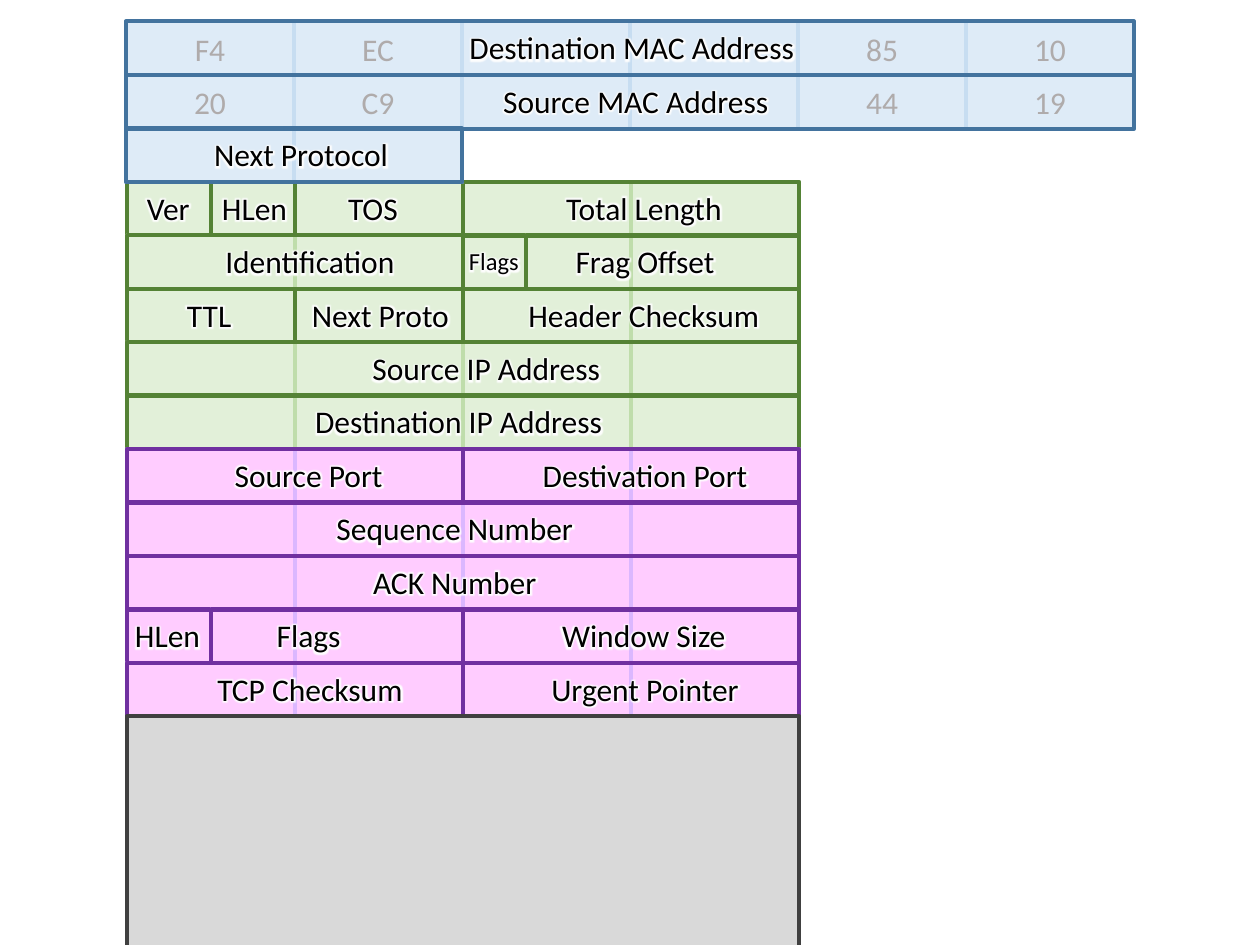
"""Draw the byte layout of Ethernet, IP and TCP headers on one slide."""
from dataclasses import dataclass
from math import floor

from lxml.etree import SubElement
from pptx import Presentation
from pptx.dml.color import RGBColor
from pptx.enum.shapes import MSO_SHAPE
from pptx.enum.text import MSO_ANCHOR, PP_ALIGN
from pptx.oxml.ns import qn
from pptx.util import Pt


@dataclass(frozen=True)
class Palette:
    fill: str
    edge: str
    divider: str


@dataclass(frozen=True)
class Theme:
    ethernet: Palette = Palette("DEEBF7", "43739E", "C7DDF1")
    internet: Palette = Palette("E2F0D9", "548235", "BFDDAB")
    transport: Palette = Palette("FFCCFF", "7030A0", "DBB7FF")
    payload: Palette = Palette("D9D9D9", "404040", "404040")
    ink: str = "000000"
    value: str = "AFABAB"
    halo: str = "FFFFFF"
    font: str = "Calibri"
    body: float = 18
    small: float = 14
    line: float = 2.25


@dataclass(frozen=True)
class Field:
    size: float
    name: str
    label_left: float
    label_width: float
    small: bool = False
    values: tuple = ()


TOP, PITCH, ROW_HEIGHT, BYTE = 12.24, 30.53, 30.8, 96
LABEL_HEIGHT, LABEL_DROP, HALO = 28.8, 0.5, 5

ETHERNET = [
    [Field(6, "Destination MAC Address", 259.9, 202.3,
           values=("F4", "EC", "", "", "85", "10"))],
    [Field(6, "Source MAC Address", 279.4, 167.8,
           values=("20", "C9", "", "", "44", "19"))],
    [Field(2, "Next Protocol", 90.7, 162.7)],
]
INTERNET = [
    [Field(0.5, "Ver", 71.3, 49.7), Field(0.5, "HLen", 111.6, 67.7),
     Field(1, "TOS", 179.3, 67.7), Field(2, "Total Length", 291.6, 152.6)],
    [Field(2, "Identification", 100.8, 152.6),
     Field(0.375, "Flags", 248.4, 67.7, small=True),
     Field(1.625, "Frag Offset", 292.3, 152.6)],
    [Field(1, "TTL", 85.7, 67.7), Field(1, "Next Proto", 169.9, 95),
     Field(2, "Header Checksum", 291.6, 152.6)],
    [Field(4, "Source IP Address", 201.6, 152.6)],
    [Field(4, "Destination IP Address", 139, 246.2)],
]
TRANSPORT = [
    [Field(2, "Source Port", 100.1, 152.6),
     Field(2, "Destivation Port", 292.3, 152.6)],
    [Field(4, "Sequence Number", 136.8, 246.2)],
    [Field(4, "ACK Number", 136.8, 246.2)],
    [Field(0.5, "HLen", 66.2, 59), Field(1.5, "Flags", 100.1, 152.6),
     Field(2, "Window Size", 291.6, 152.6)],
    [Field(2, "TCP Checksum", 100.8, 152.6),
     Field(2, "Urgent Pointer", 292.3, 152.6)],
]


def byte_pieces(start, end):
    """Split a span of bytes at every whole byte."""
    pieces = []
    while start < end:
        stop = min(floor(start) + 1, end)
        pieces.append((start, stop))
        start = stop
    return pieces


class Sketch:
    """Hold the theme and page, and draw each kind of element."""

    def __init__(self, page, theme):
        """Keep the page and its theme."""
        self.page = page
        self.theme = theme

    def centred_line(self, frame, text, color, size):
        """Fill a text frame with one centred line."""
        para = frame.paragraphs[0]
        para.alignment = PP_ALIGN.CENTER
        para.font.name = self.theme.font
        para.font.size = Pt(size)
        para.font.color.rgb = RGBColor.from_string(color)
        span = para.add_run()
        span.text = text
        return span

    def rect(self, left, top, width, height, edge, fill=None, text=""):
        """Draw a rectangle, open when it has no fill."""
        box = self.page.shapes.add_shape(
            MSO_SHAPE.RECTANGLE, Pt(left), Pt(top), Pt(width), Pt(height))
        box.shadow.inherit = False
        box.line.color.rgb = RGBColor.from_string(edge)
        box.line.width = Pt(self.theme.line)
        if fill:
            box.fill.solid()
            box.fill.fore_color.rgb = RGBColor.from_string(fill)
        else:
            box.fill.background()
        if text:
            box.text_frame.vertical_anchor = MSO_ANCHOR.MIDDLE
            self.centred_line(box.text_frame, text, self.theme.value,
                              self.theme.body)

    def label(self, field, top):
        """Place a field name with a pale halo."""
        size = self.theme.small if field.small else self.theme.body
        drop = LABEL_DROP + (self.theme.body - size) * 0.6
        box = self.page.shapes.add_textbox(
            Pt(field.label_left), Pt(top + drop),
            Pt(field.label_width), Pt(LABEL_HEIGHT))
        box.text_frame.word_wrap = True
        span = self.centred_line(box.text_frame, field.name, self.theme.ink, size)
        effects = SubElement(span._r.get_or_add_rPr(), qn("a:effectLst"))
        glow = SubElement(effects, qn("a:glow"), rad=str(Pt(HALO)))
        SubElement(glow, qn("a:srgbClr"), val=self.theme.halo)

    def header(self, rows, first_row, left, palette):
        """Draw a header: byte cells, then field frames, then names."""
        frames, labels = [], []
        for index, row in enumerate(rows, first_row):
            top, start = TOP + index * PITCH, 0
            for field in row:
                end = start + field.size
                pieces = byte_pieces(start, end)
                whole = len(pieces) == 1
                edge = palette.edge if whole else palette.divider
                values = field.values or ("",) * len(pieces)
                for (begin, stop), value in zip(pieces, values):
                    self.rect(left + begin * BYTE, top, (stop - begin) * BYTE,
                              ROW_HEIGHT, edge, palette.fill, value)
                if not whole:
                    frames.append((left + start * BYTE, top, field.size * BYTE))
                labels.append((field, top))
                start = end
        for frame_left, top, width in frames:
            self.rect(frame_left, top, width, ROW_HEIGHT, palette.edge)
        for field, top in labels:
            self.label(field, top)


def main():
    """Build and save the deck."""
    deck = Presentation()
    deck.slide_width, deck.slide_height = Pt(720), Pt(540)
    page = deck.slides.add_slide(deck.slide_layouts[6])
    theme = Theme()
    sketch = Sketch(page, theme)
    left, inner_left = 72, 72.6
    transport_row = len(ETHERNET) + len(INTERNET)
    payload_row = transport_row + len(TRANSPORT)
    sketch.header(INTERNET, len(ETHERNET), inner_left, theme.internet)
    sketch.header(ETHERNET, 0, left, theme.ethernet)
    sketch.header(TRANSPORT, transport_row, inner_left, theme.transport)
    sketch.rect(inner_left, TOP + payload_row * PITCH, 4 * BYTE, 143.3,
                theme.payload.edge, theme.payload.fill)
    deck.save("out.pptx")


main()
